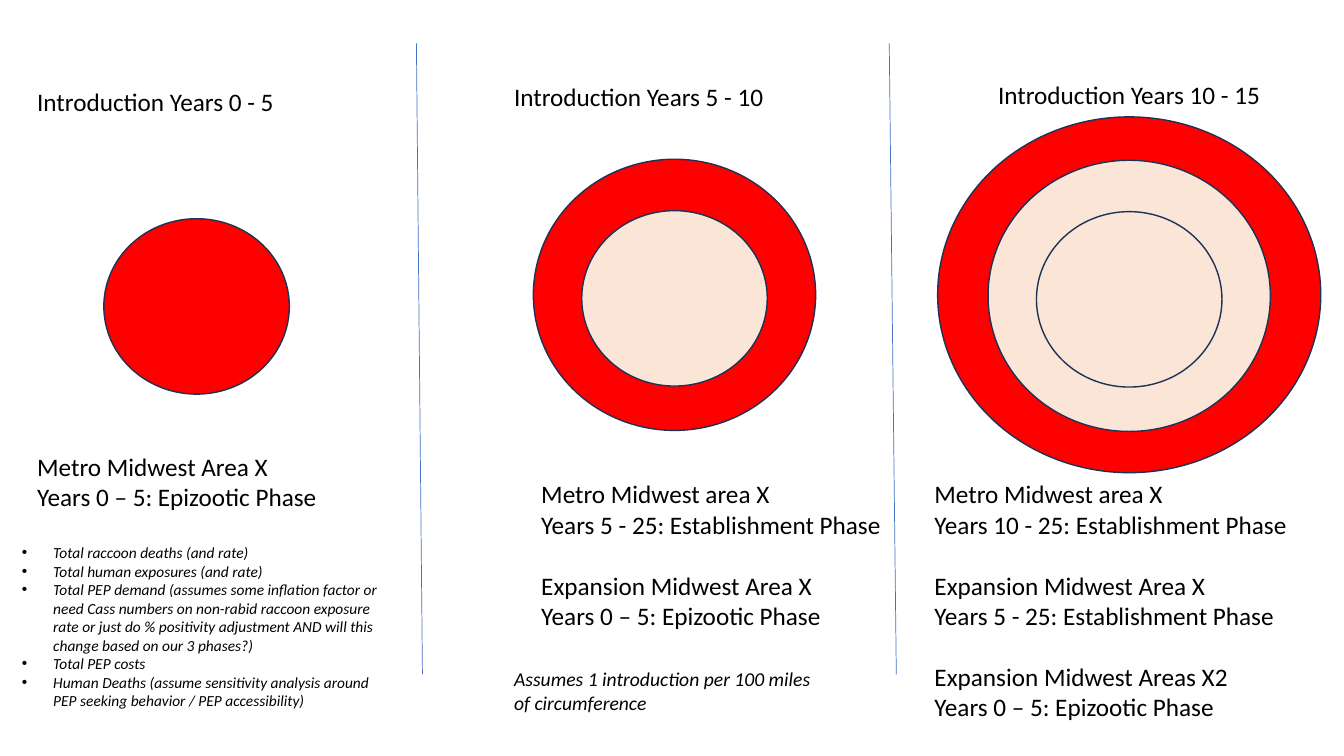
from dataclasses import dataclass

from lxml.etree import SubElement
from pptx import Presentation
from pptx.dml.color import RGBColor
from pptx.enum.shapes import MSO_CONNECTOR, MSO_SHAPE
from pptx.enum.text import MSO_AUTO_SIZE
from pptx.oxml.ns import qn
from pptx.util import Pt

PX = 9144  # EMU per px, 100 px to the inch


@dataclass(frozen=True)
class Theme:
    font: str = "Calibri"
    text: RGBColor = RGBColor(0, 0, 0)
    epizootic: RGBColor = RGBColor(0xFF, 0, 0)
    established: RGBColor = RGBColor(0xFB, 0xE5, 0xD6)
    outline: RGBColor = RGBColor(0x1E, 0x32, 0x56)
    divider: RGBColor = RGBColor(0x44, 0x72, 0xC4)
    body: int = 18
    note: int = 14
    bullet: int = 11
    block_gap: int = 22


T = Theme()

# Ring sizes, from the first introduction area outwards
CORE, MIDDLE, OUTER = (184, 174), (280, 269), (380, 353)

# Each phase: heading, its place, rings from back to front, caption box, caption blocks
PHASES = [
    ("Introduction Years 0 - 5", (27, 81),
     [(103, 217, CORE)],
     (27, 443, 318, 71),
     [["Metro Midwest Area X", "Years 0 – 5: Epizootic Phase"]]),
    ("Introduction Years 5 - 10", (500, 76),
     [(529, 158, MIDDLE), (577, 209, CORE)],
     (527, 470, 443, 162),
     [["Metro Midwest area X", "Years 5 - 25: Establishment Phase"],
      ["Expansion Midwest Area X", "Years 0 – 5: Epizootic Phase"]]),
    ("Introduction Years 10 - 15", (980, 74),
     [(930, 116, OUTER), (980, 159, MIDDLE), (1028, 210, CORE)],
     (917, 470, 443, 283),
     [["Metro Midwest area X", "Years 10 - 25: Establishment Phase"],
      ["Expansion Midwest Area X", "Years 5 - 25: Establishment Phase"],
      ["Expansion Midwest Areas X2", "Years 0 – 5: Epizootic Phase"]]),
]

OUTCOMES = [
    "Total raccoon deaths (and rate)",
    "Total human exposures (and rate)",
    "Total PEP demand (assumes some inflation factor or need Cass numbers on "
    "non-rabid raccoon exposure rate or just do % positivity adjustment AND "
    "will this change based on our 3 phases?)",
    "Total PEP costs",
    "Human Deaths (assume sensitivity analysis around PEP seeking behavior / "
    "PEP accessibility)",
]


def px(*lengths):
    return [n * PX for n in lengths]


def add_text(s, box, blocks, size=T.body, italic=False):
    """Blocks are lists of lines; each block after the first is set apart."""
    tf = s.shapes.add_textbox(*px(*box)).text_frame
    tf.word_wrap = True
    tf.auto_size = MSO_AUTO_SIZE.SHAPE_TO_FIT_TEXT
    tf.text = "\n".join(line for block in blocks for line in block)
    for p in tf.paragraphs:
        font = p.runs[0].font
        font.name, font.size, font.italic = T.font, Pt(size), italic
        font.color.rgb = T.text
    start = 0
    for block in blocks[:-1]:
        start += len(block)
        tf.paragraphs[start].space_before = Pt(T.block_gap)
    return tf


def add_bullets(tf, indent):
    for p in tf.paragraphs:
        pPr = p._p.get_or_add_pPr()
        pPr.set("marL", str(indent * PX))
        pPr.set("indent", str(-indent * PX))
        SubElement(pPr, qn("a:buFont")).set("typeface", "Arial")
        SubElement(pPr, qn("a:buChar")).set("char", "•")


def add_ring(s, x, y, size, color):
    sp = s.shapes.add_shape(MSO_SHAPE.OVAL, *px(x, y, *size))
    sp.shadow.inherit = False
    sp.fill.solid()
    sp.fill.fore_color.rgb = color
    sp.line.color.rgb = T.outline
    sp.line.width = Pt(1)


def add_divider(s, x1, x2):
    line = s.shapes.add_connector(MSO_CONNECTOR.STRAIGHT, *px(x1, 43, x2, 669))
    line.line.color.rgb = T.divider
    line.line.width = Pt(0.5)
    SubElement(line._element.spPr, qn("a:effectLst"))


def main():
    prs = Presentation()
    prs.slide_width, prs.slide_height = px(1333, 750)
    s = prs.slides.add_slide(prs.slide_layouts[6])

    # Column dividers
    add_divider(s, 413, 419)
    add_divider(s, 882, 889)

    # Phases: only the outermost ring is epizootic
    for heading, place, rings, caption_box, caption in PHASES:
        for i, (x, y, size) in enumerate(rings):
            add_ring(s, x, y, size, T.established if i else T.epizootic)
        add_text(s, (*place, 318, 40), [[heading]])
        add_text(s, caption_box, caption)

    # Outcomes and assumption
    add_bullets(add_text(s, (12, 534, 384, 195), [OUTCOMES], T.bullet, True), 31)
    add_text(s, (500, 657, 318, 57),
             [["Assumes 1 introduction per 100 miles of circumference"]],
             T.note, True)

    prs.save("out.pptx")


if __name__ == "__main__":
    main()
